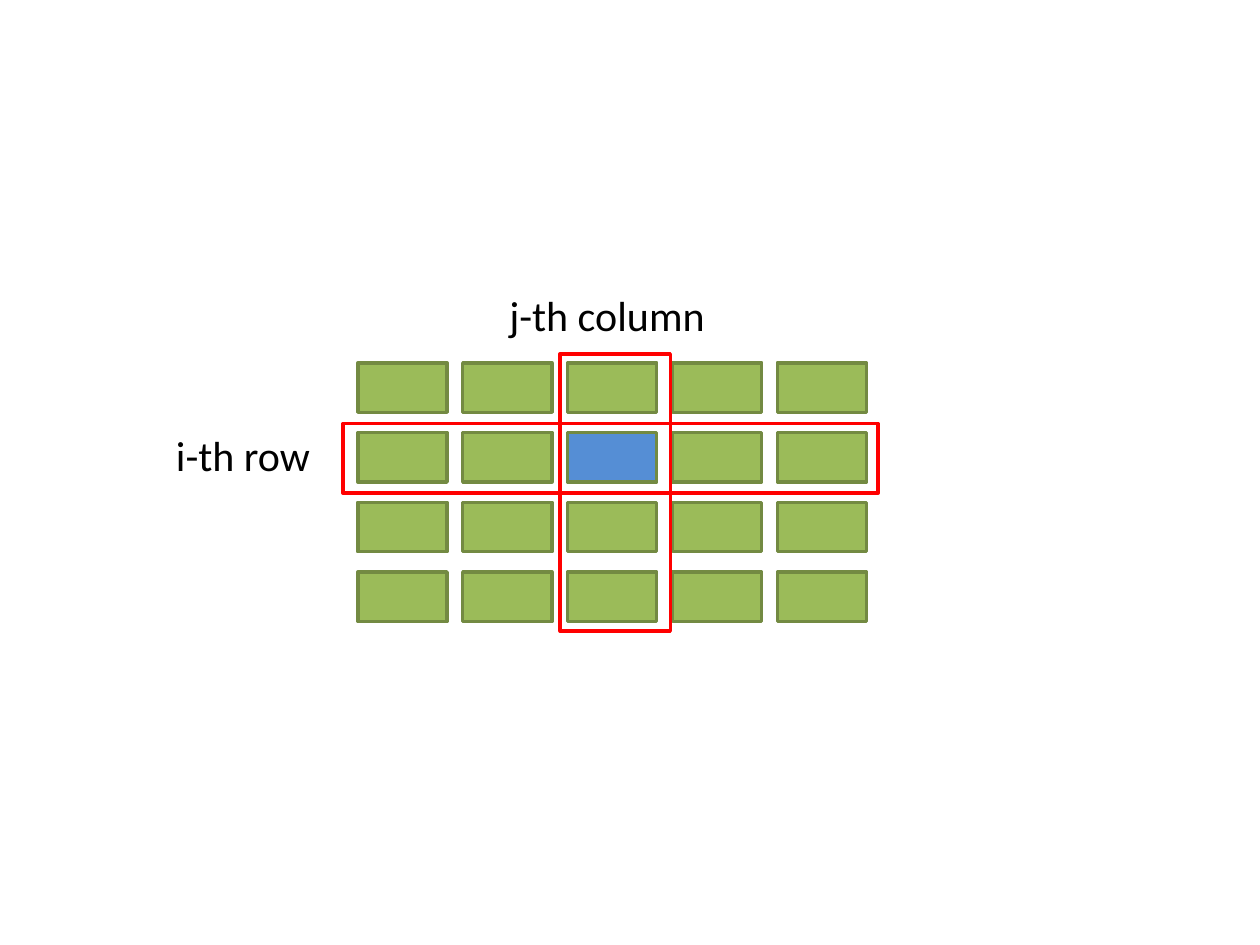
import pptx
import pptx.util
import pptx.dml.color
import pptx.enum.shapes
import pptx.enum.text

GREEN = pptx.dml.color.RGBColor(0x9B, 0xBB, 0x59)
OLIVE = pptx.dml.color.RGBColor(0x73, 0x8A, 0x42)
BLUE = pptx.dml.color.RGBColor(0x55, 0x8E, 0xD5)
RED = pptx.dml.color.RGBColor(0xFF, 0x00, 0x00)
BLACK = pptx.dml.color.RGBColor(0x00, 0x00, 0x00)

ROWS, COLUMNS = 4, 5
MARKED = (1, 2)


class Matrix:
    left, top = 2.84, 2.88
    column, row = 3.33 / 4, 1.66 / 3
    font, size, line = "Calibri", 24, 2

    def __init__(self, slide):
        self.slide = slide

    def place(self, x, y, w, h):
        return [pptx.util.Inches(v) for v in (
            self.left + x * self.column, self.top + y * self.row,
            w * self.column, h * self.row)]

    def box(self, x, y, w, h, color, fill=None):
        sp = self.slide.shapes.add_shape(
            pptx.enum.shapes.MSO_SHAPE.RECTANGLE, *self.place(x, y, w, h))
        sp.shadow.inherit = False
        if fill is None:
            sp.fill.background()
        else:
            sp.fill.solid()
            sp.fill.fore_color.rgb = fill
        sp.line.color.rgb = color
        sp.line.width = pptx.util.Pt(self.line)

    def label(self, x, y, w, h, text):
        tf = self.slide.shapes.add_textbox(*self.place(x, y, w, h)).text_frame
        tf.word_wrap = True
        tf.auto_size = pptx.enum.text.MSO_AUTO_SIZE.SHAPE_TO_FIT_TEXT
        p = tf.paragraphs[0]
        p.alignment = pptx.enum.text.PP_ALIGN.CENTER
        r = p.add_run()
        r.text = text
        r.font.name = self.font
        r.font.size = pptx.util.Pt(self.size)
        r.font.color.rgb = BLACK


def main():
    prs = pptx.Presentation()
    prs.slide_width = pptx.util.Inches(10)
    prs.slide_height = pptx.util.Inches(7.5)
    s = prs.slides.add_slide(prs.slide_layouts[6])
    matrix = Matrix(s)
    for j in range(COLUMNS):
        for i in range(ROWS):
            matrix.box(j, i, 0.85, 0.71, OLIVE, BLUE if (i, j) == MARKED else GREEN)
    i, j = MARKED
    matrix.label(-2.14, i - 0.13, 2.09, 0.9, "i-th row")
    matrix.box(-0.14, i - 0.13, COLUMNS + 0.1, 1, RED)
    matrix.label(j - 0.89, -1.14, 2.53, 0.9, "j-th column")
    matrix.box(j - 0.07, -0.13, 1.05, ROWS - 0.02, RED)
    prs.save("out.pptx")


if __name__ == "__main__":
    main()
